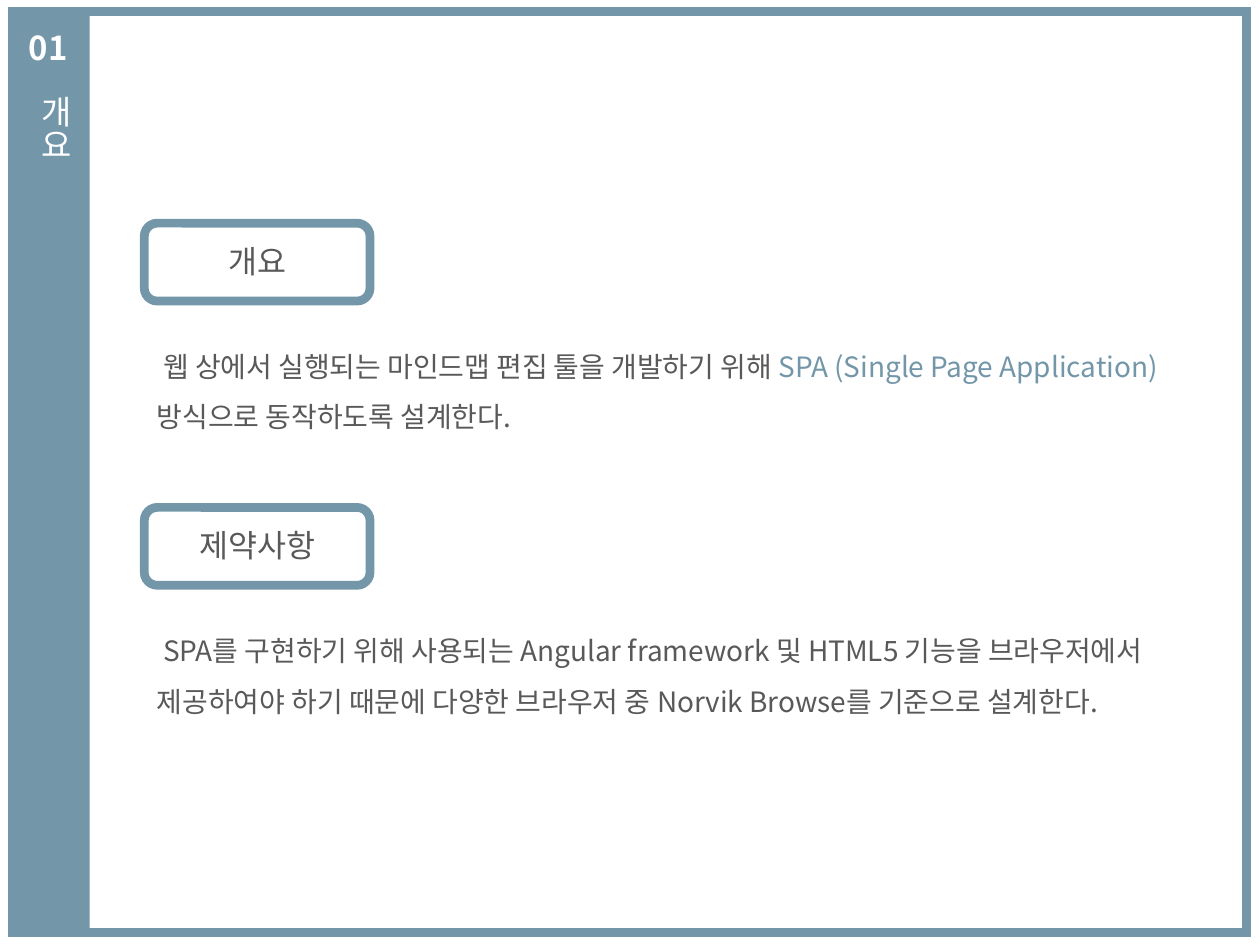
from pptx import Presentation
from pptx.dml.color import RGBColor
from pptx.enum.shapes import MSO_SHAPE as Shape
from pptx.enum.text import MSO_ANCHOR as Anchor, MSO_AUTO_SIZE as AutoSize, PP_ALIGN as Align
from pptx.oxml.ns import qn
from pptx.util import Cm, Pt

FONT = "Noto Sans CJK KR"
COLORS = {"accent": "7396A9", "text": "595959", "white": "FFFFFF"}
TWO_CONTENT_LAYOUT = 3
LEFT = 2.91

# Each section: top in cm, body width in cm, heading, paragraphs of (text, colour) spans
SECTIONS = [
    (4.5, 21.11, "개요", [
        [(" 웹 상에서 실행되는 마인드맵 편집 툴을 개발하기 위해 ", "text"),
         ("SPA (Single Page Application)", "accent")],
        [("방식으로 동작하도록 설계한다.", "text")],
    ]),
    (10.23, 20.98, "제약사항", [
        [(" SPA를 구현하기 위해 사용되는 Angular framework 및 HTML5 기능을 브라우저에서", "text")],
        [("제공하여야 하기 때문에 다양한 브라우저 중 Norvik Browse를 기준으로 설계한다.", "text")],
    ]),
]


def color(name):
    return RGBColor.from_string(COLORS[name])


def style_span(span, size, name, bold=False):
    font = span.font
    font.size, font.name, font.bold = Pt(size), FONT, bold
    font.color.rgb = color(name)


def place(box, left, top, width, height):
    box.left, box.top, box.width, box.height = map(Cm, (left, top, width, height))


def set_frame(frame):
    frame.word_wrap = True
    frame.auto_size = AutoSize.NONE
    frame.vertical_anchor = Anchor.TOP


def add_panel(page, kind, area, fill=None):
    """Add a filled panel, or an outlined one with sharp corners when no fill is given."""
    panel = page.shapes.add_shape(kind, *map(Cm, area))
    panel.shadow.inherit = False
    if fill:
        panel.fill.solid()
        panel.fill.fore_color.rgb = color(fill)
        panel.line.fill.background()
    else:
        panel.fill.background()
        panel.line.color.rgb = color("accent")
        panel.line.width = Pt(5)
        outline = panel.line._get_or_add_ln()
        outline.append(outline.makeelement(qn("a:miter"), {"lim": "800000"}))


def add_label(page, area, text, size, name, bold=False, align=Align.LEFT):
    box = page.shapes.add_textbox(*map(Cm, area))
    set_frame(box.text_frame)
    box.text_frame.text = text
    para = box.text_frame.paragraphs[0]
    para.alignment = align
    style_span(para.runs[0], size, name, bold)


def bring_to_front(box):
    box.element.getparent().append(box.element)


def fill_title(title, text):
    """Set the title vertically in the side bar."""
    place(title, 0.46, 1.8, 1.32, 1.73)
    title.text_frame.text = text
    set_frame(title.text_frame)
    title.text_frame._txBody.bodyPr.set("vert", "eaVert")
    para = title.text_frame.paragraphs[0]
    para.alignment = Align.LEFT
    style_span(para.runs[0], 18.8, "white")
    bring_to_front(title)


def fill_body(body, top, width, paragraphs):
    place(body, LEFT, top, width, 2.21)
    frame = body.text_frame
    set_frame(frame)
    frame.text = "\n".join("" for _ in paragraphs)
    for para, spans in zip(frame.paragraphs, paragraphs):
        para.line_spacing = 1.5
        para.space_before = Pt(0)
        properties = para._p.get_or_add_pPr()
        properties.set("marL", "0")
        properties.set("indent", "0")
        properties.append(properties.makeelement(qn("a:buNone"), {}))
        for text, name in spans:
            span = para.add_run()
            span.text = text
            style_span(span, 16, name)
    bring_to_front(body)


def add_section(page, body, top, width, heading, paragraphs):
    add_panel(page, Shape.ROUNDED_RECTANGLE, (LEFT, top, 4.55, 1.57))
    add_label(page, (LEFT, top + 0.25, 4.55, 1.07), heading, 18, "text", align=Align.CENTER)
    fill_body(body, top + 2.08, width, paragraphs)


def main():
    deck = Presentation()
    deck.slide_width, deck.slide_height = Cm(25.4), Cm(19.05)
    page = deck.slides.add_slide(deck.slide_layouts[TWO_CONTENT_LAYOUT])
    title, *bodies = page.placeholders

    add_panel(page, Shape.RECTANGLE, (0.26, 0.23, 24.87, 18.57))
    add_panel(page, Shape.RECTANGLE, (0.26, 0.23, 1.55, 18.57), "accent")
    add_label(page, (0.33, 0.43, 1.35, 1.07), "01", 18.8, "white", bold=True)
    fill_title(title, "개요")
    for body, section in zip(bodies, SECTIONS):
        add_section(page, body, *section)

    deck.save("out.pptx")


if __name__ == "__main__":
    main()
